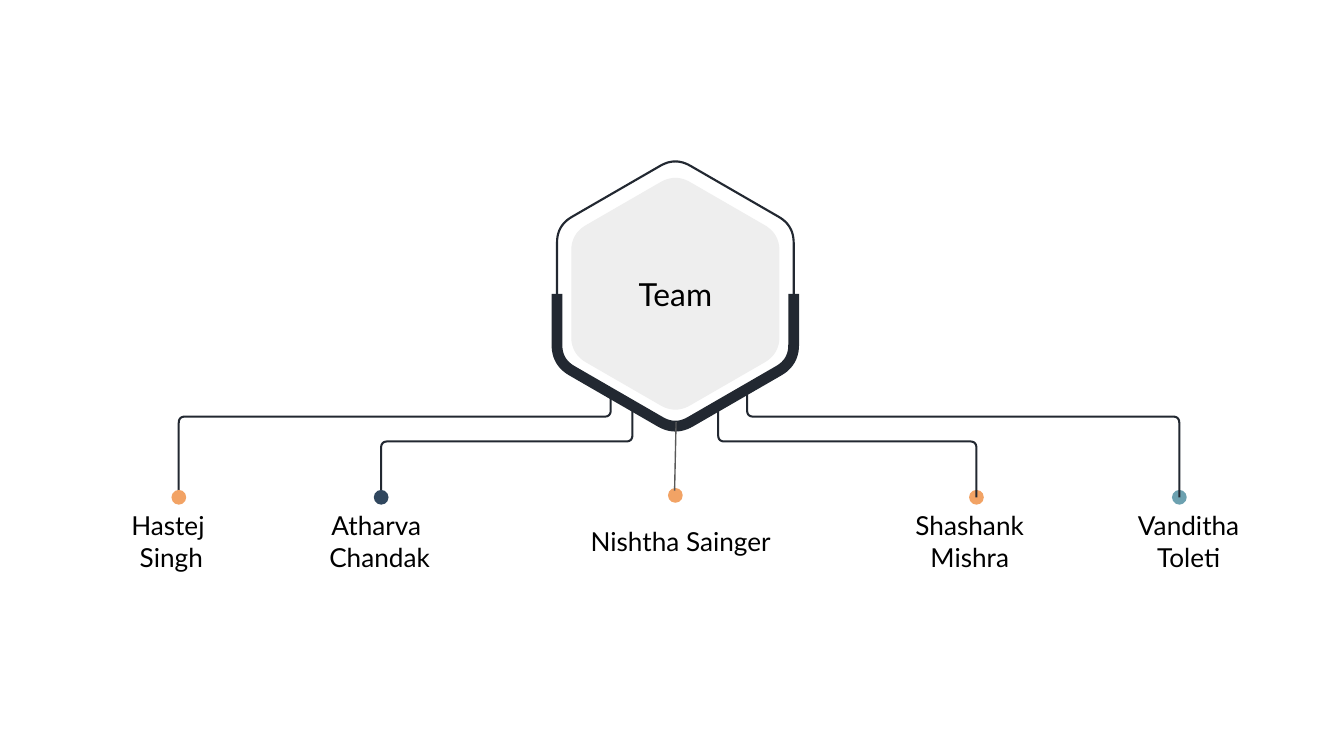
from dataclasses import dataclass
from math import hypot, sqrt

from lxml import etree
from pptx import Presentation
from pptx.dml.color import RGBColor
from pptx.enum.shapes import MSO_CONNECTOR, MSO_SHAPE
from pptx.enum.text import MSO_ANCHOR, PP_ALIGN
from pptx.oxml.ns import qn
from pptx.util import Pt

OVAL = MSO_SHAPE.OVAL
STRAIGHT = MSO_CONNECTOR.STRAIGHT
MIDDLE = MSO_ANCHOR.MIDDLE
CENTER = PP_ALIGN.CENTER


@dataclass(frozen=True)
class Theme:
    font: str = "Lato"
    title_size: float = 17
    name_size: float = 14
    text: str = "000000"
    dark: str = "222831"
    panel: str = "EEEEEE"
    stem: str = "595959"
    orange: str = "F2A365"
    navy: str = "30475E"
    teal: str = "6CA1B0"


THEME = Theme()
HUB_X, HUB_Y = 361.8, 157.4
RIM_RADIUS, PANEL_RADIUS, HUB_TRIM = 73.2, 64.4, 9.2
RIM_THIN, RIM_THICK = 1.15, 5.76
BRANCH_WIDTH, BRANCH_TRIM = 1.1, 3.4
BRANCH_END, DOT_SIZE = 266.4, 7.9
OUTER_TOP, OUTER_BEND = 209.5, 223.2
INNER_TOP, INNER_BEND = 216.7, 236.5
NAME_TOP, NAME_WIDTH, NAME_HEIGHT = 279.4, 111.6, 20.9
UNITS_PER_POINT = 100

# name, text centre, dot centre x and y, dot colour
MEMBERS = [
    ("Hastej \nSingh", 91.8, 95.8, BRANCH_END, THEME.orange),
    ("Atharva \nChandak", 203.4, 204.2, BRANCH_END, THEME.navy),
    ("Nishtha Sainger", 364.7, 361.8, 265.4, THEME.orange),
    ("Shashank\nMishra", 519.5, 523.1, BRANCH_END, THEME.orange),
    ("Vanditha\nToleti", 636.8, 631.8, BRANCH_END, THEME.teal),
]
# start x, top, bend height, end x
LEFT_BRANCHES = [
    (338.8, INNER_TOP, INNER_BEND, 204.2),
    (327.2, OUTER_TOP, OUTER_BEND, 95.8),
]
RIGHT_BRANCHES = [
    (384.8, INNER_TOP, INNER_BEND, 523.1),
    (400.3, OUTER_TOP, OUTER_BEND, 631.8),
]


def toward(start, end, length):
    ratio = length / hypot(end[0] - start[0], end[1] - start[1])
    return tuple(a + (b - a) * ratio for a, b in zip(start, end))


def rounded(corners, trim, steps=12):
    """Points of an open polyline whose inner corners become smooth curves."""
    points = [corners[0]]
    for before, corner, after in zip(corners, corners[1:], corners[2:]):
        enter, leave = toward(corner, before, trim), toward(corner, after, trim)
        for step in range(steps + 1):
            t = step / steps
            points.append(tuple(
                (1 - t) ** 2 * a + 2 * t * (1 - t) * b + t ** 2 * c
                for a, b, c in zip(enter, corner, leave)))
    return points + [corners[-1]]


def band(points, width):
    """Outline of a strip of the given width along the points."""
    left, right = [], []
    for i, (x, y) in enumerate(points):
        x0, y0 = points[max(i - 1, 0)]
        x1, y1 = points[min(i + 1, len(points) - 1)]
        half = width / 2 / hypot(x1 - x0, y1 - y0)
        dx, dy = (y0 - y1) * half, (x1 - x0) * half
        left.append((x + dx, y + dy))
        right.append((x - dx, y - dy))
    return left + right[::-1]


def half_hexagon(radius, direction):
    """Left to right over the top (direction -1) or the bottom (1) of the hub."""
    side = radius * sqrt(3) / 2
    shoulder, tip = (HUB_Y + direction * radius * k for k in (0.5, 1))
    corners = [(HUB_X - side, HUB_Y), (HUB_X - side, shoulder), (HUB_X, tip),
               (HUB_X + side, shoulder), (HUB_X + side, HUB_Y)]
    return rounded(corners, HUB_TRIM)


def paint(shape, color):
    shape.shadow.inherit = False
    shape.fill.solid()
    shape.fill.fore_color.rgb = RGBColor.from_string(color)
    shape.line.fill.background()


def add_outline(slide, points, color):
    scaled = [(x * UNITS_PER_POINT, y * UNITS_PER_POINT) for x, y in points]
    builder = slide.shapes.build_freeform(
        *scaled[0], scale=Pt(1) / UNITS_PER_POINT)
    builder.add_line_segments(scaled[1:], close=True)
    outline = builder.convert_to_shape()
    paint(outline, color)
    return outline


def add_branch(slide, start_x, top, bend, end_x):
    corners = [(start_x, top), (start_x, bend), (end_x, bend),
               (end_x, BRANCH_END)]
    add_outline(slide, band(rounded(corners, BRANCH_TRIM), BRANCH_WIDTH),
                THEME.dark)


def add_dot(slide, x, y, color):
    corner = Pt(x - DOT_SIZE / 2), Pt(y - DOT_SIZE / 2)
    paint(slide.shapes.add_shape(OVAL, *corner, Pt(DOT_SIZE), Pt(DOT_SIZE)),
          color)


def write(frame, text, *, size, color=THEME.text, font=THEME.font):
    frame.word_wrap = True
    frame.vertical_anchor = MIDDLE
    frame.text = text
    for paragraph in frame.paragraphs:
        paragraph.alignment = CENTER
        for run in paragraph.runs:
            run.font.name = font
            run.font.size = Pt(size)
            run.font.color.rgb = RGBColor.from_string(color)


def add_name(slide, name, center):
    label = slide.shapes.add_textbox(Pt(center - NAME_WIDTH / 2), Pt(NAME_TOP),
                                     Pt(NAME_WIDTH), Pt(NAME_HEIGHT))
    write(label.text_frame, name, size=THEME.name_size)


def add_stem(slide):
    stem = slide.shapes.add_connector(
        STRAIGHT, Pt(362.2), Pt(226.1), Pt(361.4), Pt(262.8))
    stem.line.color.rgb = RGBColor.from_string(THEME.stem)
    stem.line.width = Pt(0.75)
    etree.SubElement(stem._element.spPr, qn("a:effectLst"))


def add_hub(slide):
    for direction, width in ((-1, RIM_THIN), (1, RIM_THICK)):
        add_outline(slide, band(half_hexagon(RIM_RADIUS, direction), width),
                    THEME.dark)
    upper, lower = (half_hexagon(PANEL_RADIUS, d) for d in (-1, 1))
    panel = add_outline(slide, upper + lower[::-1], THEME.panel)
    write(panel.text_frame, "Team", size=THEME.title_size)


def main():
    deck = Presentation()
    deck.slide_width, deck.slide_height = Pt(720), Pt(405)
    slide = deck.slides.add_slide(deck.slide_layouts[6])

    for branch in LEFT_BRANCHES:
        add_branch(slide, *branch)
    for _, _, x, y, color in MEMBERS:
        add_dot(slide, x, y, color)
    add_hub(slide)
    for branch in RIGHT_BRANCHES:
        add_branch(slide, *branch)
    for name, center, *_ in MEMBERS:
        add_name(slide, name, center)
    add_stem(slide)

    deck.save("out.pptx")


if __name__ == "__main__":
    main()
